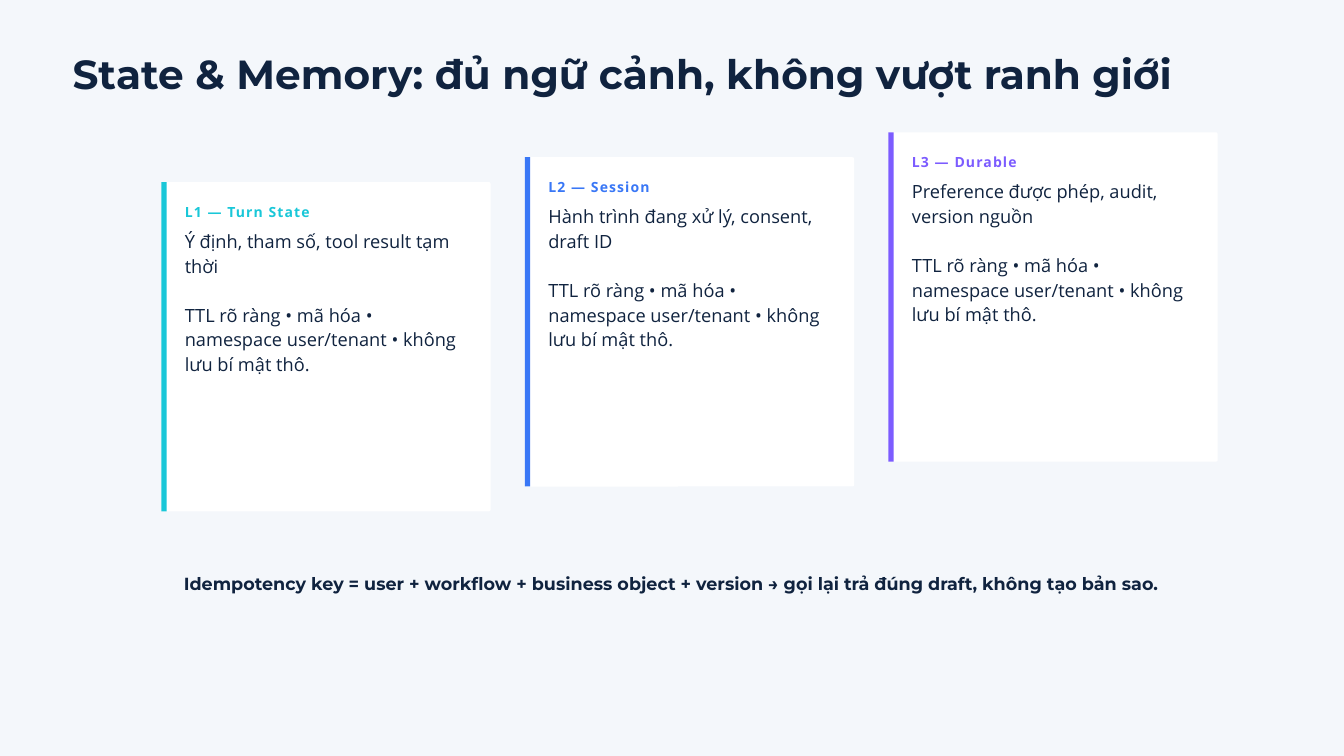
from dataclasses import dataclass

from pptx import Presentation
from pptx.dml.color import RGBColor
from pptx.enum.shapes import MSO_SHAPE as Shape
from pptx.enum.text import MSO_AUTO_SIZE as AutoSize, PP_ALIGN as Align
from pptx.shapes.autoshape import Shape as AutoShape
from pptx.shapes.shapetree import GroupShapes, SlideShapes
from pptx.util import Inches, Pt

ShapeTree = SlideShapes | GroupShapes


@dataclass(frozen=True)
class TextStyle:
    font: str
    size: float
    line: float
    bold: bool = False
    tracking: float = 0


@dataclass(frozen=True)
class Theme:
    background: str = "F4F7FB"
    ink: str = "10233F"
    card: str = "FFFFFF"
    title: TextStyle = TextStyle("Montserrat", 43.5, 45.2, bold=True)
    label: TextStyle = TextStyle("Open Sans", 15, 21, bold=True, tracking=1.2)
    body: TextStyle = TextStyle("Open Sans", 19.5, 26.3)
    rule: TextStyle = TextStyle("Montserrat", 18.8, 19.5, bold=True)


@dataclass(frozen=True)
class MemoryLayer:
    label: str
    content: str
    color: str


THEME = Theme()
SAFEGUARDS = "TTL rõ ràng • mã hóa • namespace user/tenant • không lưu bí mật thô."
LAYERS = [
    MemoryLayer("L1 — Turn State", "Ý định, tham số, tool result tạm thời", "19C7D8"),
    MemoryLayer("L2 — Session", "Hành trình đang xử lý, consent, draft ID", "3977F6"),
    MemoryLayer("L3 — Durable", "Preference được phép, audit, version nguồn", "7C5CFF"),
]

CARD_SIZE = 4.9
FIRST_LEFT, FIRST_TOP = 2.4, 2.71
STEP_RIGHT, STEP_UP = 5.41, 0.37
ACCENT_WIDTH = 0.08
TEXT_INSET, TEXT_WIDTH = 0.35, 4.19


def add_block(shapes: ShapeTree, kind: Shape, left: float, top: float,
              width: float, height: float, color: str) -> AutoShape:
    block = shapes.add_shape(kind, Inches(left), Inches(top), Inches(width), Inches(height))
    block.shadow.inherit = False
    block.fill.solid()
    block.fill.fore_color.rgb = RGBColor.from_string(color)
    block.line.fill.background()
    return block


def add_text(shapes: ShapeTree, left: float, top: float, width: float, height: float,
             paragraphs: list[str], style: TextStyle, color: str = THEME.ink,
             align: Align = Align.LEFT) -> None:
    """Add a margin-free text box with one blank line's height between paragraphs."""
    box = shapes.add_textbox(Inches(left), Inches(top), Inches(width), Inches(height))
    frame = box.text_frame
    frame.word_wrap = True
    frame.auto_size = AutoSize.SHAPE_TO_FIT_TEXT
    frame.margin_left = frame.margin_top = frame.margin_right = frame.margin_bottom = 0
    frame.text = "\n".join(paragraphs)
    for index, paragraph in enumerate(frame.paragraphs):
        paragraph.alignment = align
        paragraph.line_spacing = Pt(style.line)
        if index:
            paragraph.space_before = Pt(style.line)
        font = paragraph.font
        font.name, font.size, font.bold = style.font, Pt(style.size), style.bold
        font.color.rgb = RGBColor.from_string(color)
        if style.tracking:
            for run in paragraph.runs:
                run._r.get_or_add_rPr().set("spc", str(round(style.tracking * 100)))


def add_layer_card(shapes: SlideShapes, layer: MemoryLayer, left: float, top: float) -> None:
    card = shapes.add_group_shape().shapes
    panel = add_block(card, Shape.ROUNDED_RECTANGLE, left, top, CARD_SIZE, CARD_SIZE, THEME.card)
    panel.adjustments[0] = 0.005
    add_block(card, Shape.RECTANGLE, left, top, ACCENT_WIDTH, CARD_SIZE, layer.color)
    text_left = left + TEXT_INSET
    add_text(card, text_left, top + 0.27, TEXT_WIDTH, 0.27, [layer.label], THEME.label, layer.color)
    add_text(card, text_left, top + 0.68, TEXT_WIDTH, 2.18, [layer.content, SAFEGUARDS], THEME.body)


def main() -> None:
    deck = Presentation()
    deck.slide_width, deck.slide_height = Inches(20), Inches(11.25)
    slide = deck.slides.add_slide(deck.slide_layouts[6])
    slide.background.fill.solid()
    slide.background.fill.fore_color.rgb = RGBColor.from_string(THEME.background)

    add_text(slide.shapes, 1.08, 0.82, 17.83, 0.65,
             ["State & Memory: đủ ngữ cảnh, không vượt ranh giới"], THEME.title)
    for step, layer in enumerate(LAYERS):
        add_layer_card(slide.shapes, layer,
                       FIRST_LEFT + step * STEP_RIGHT, FIRST_TOP - step * STEP_UP)
    add_text(slide.shapes, 2.6, 8.57, 14.79, 0.28,
             ["Idempotency key = user + workflow + business object + version "
              "→ gọi lại trả đúng draft, không tạo bản sao."],
             THEME.rule, align=Align.CENTER)
    deck.save("out.pptx")


if __name__ == "__main__":
    main()
